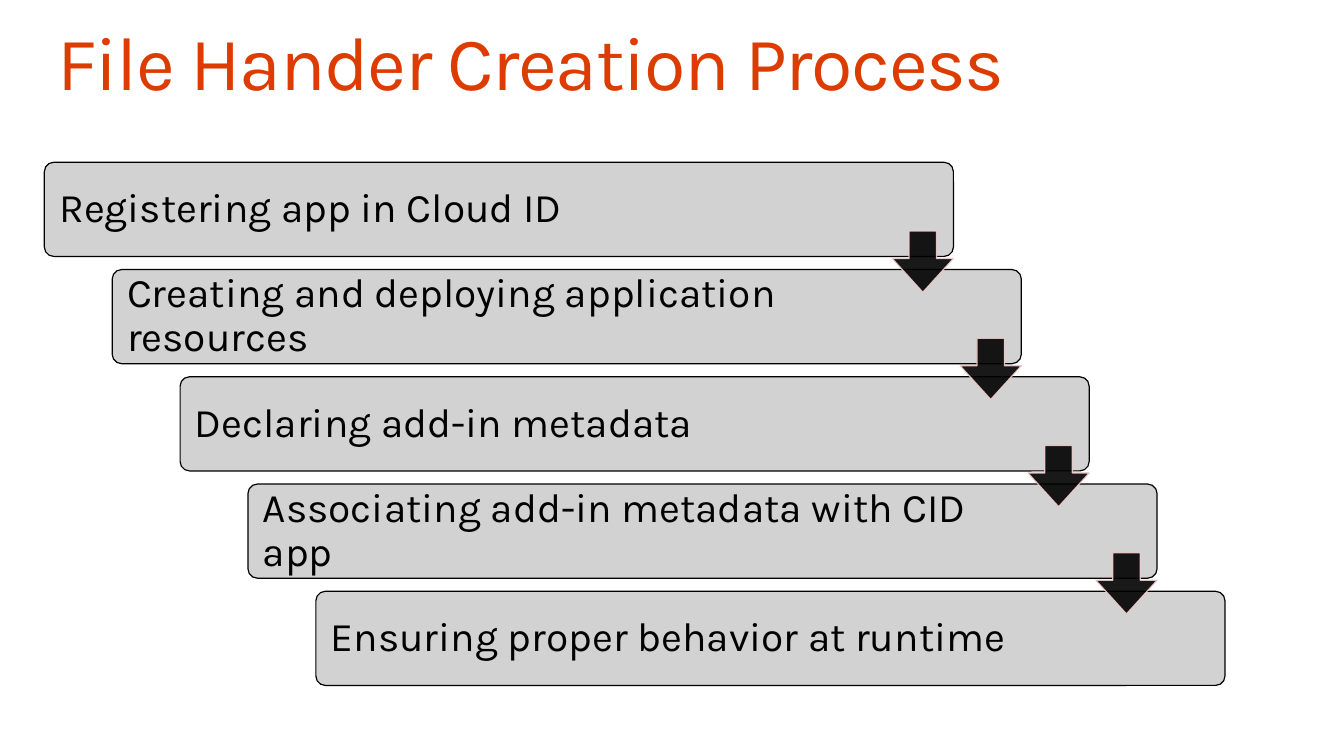
from pptx import Presentation
from pptx.dml.color import RGBColor
from pptx.enum.shapes import MSO_SHAPE
from pptx.enum.text import MSO_ANCHOR, MSO_AUTO_SIZE, PP_ALIGN
from pptx.oxml.ns import qn
from pptx.util import Inches, Pt
from lxml import etree

BAR, ARROW = MSO_SHAPE.ROUNDED_RECTANGLE, MSO_SHAPE.DOWN_ARROW
TOP, MIDDLE = MSO_ANCHOR.TOP, MSO_ANCHOR.MIDDLE
LEFT, NO_FIT = PP_ALIGN.LEFT, MSO_AUTO_SIZE.NONE
FONT = "Karla"
COLORS = {"title": "DC3C00", "bar": "D2D2D2", "ink": "000000", "edge": "F2CECC"}
STEPS = [
    "Registering app in Cloud ID",
    "Creating and deploying application resources",
    "Declaring add-in metadata",
    "Associating add-in metadata with CID app",
    "Ensuring proper behavior at runtime",
]


def color(name):
    return RGBColor.from_string(COLORS[name])


def write(shape, text, size, ink, anchor, insets):
    """Fill the shape with one left-aligned paragraph; insets run left, top, right, bottom."""
    frame = shape.text_frame
    frame.text = text
    frame.word_wrap = True
    frame.auto_size = NO_FIT
    frame.vertical_anchor = anchor
    (frame.margin_left, frame.margin_top,
     frame.margin_right, frame.margin_bottom) = map(Inches, insets)
    para = frame.paragraphs[0]
    para.alignment = LEFT
    para.line_spacing = 0.9
    para.font.name = FONT
    para.font.size = Pt(size)
    para.font.color.rgb = color(ink)
    return para


def add_block(slide, kind, box, adjust, fill, line):
    block = slide.shapes.add_shape(kind, *map(Inches, box))
    for i, value in enumerate(adjust):
        block.adjustments[i] = value
    block.shadow.inherit = False
    block.fill.solid()
    block.fill.fore_color.rgb = color(fill)
    block.line.color.rgb = color(line)
    block.line.width = Pt(0.85)
    return block


def fade(shape, share):
    """Set the opacity of the shape's fill and line."""
    for tone in shape._element.spPr.iter(qn("a:srgbClr")):
        etree.SubElement(tone, qn("a:alpha")).set("val", str(int(share * 100000)))


def add_title(slide, box, text):
    title = slide.shapes.title
    title.left, title.top, title.width, title.height = map(Inches, box)
    para = write(title, text, 54, "title", TOP, (0, 0, 0, 0))
    para.runs[0]._r.get_or_add_rPr().set("spc", "-100")


def add_stairs(slide, box, steps):
    """Stagger the steps evenly from the box's top left to its bottom right."""
    left, top, width, height = box
    wide, high = width * 0.77, height * 0.18
    gaps = len(steps) - 1
    right, down = (width - wide) / gaps, (height - high) / gaps
    side = high * 0.65
    spots = [(left + i * right, top + i * down) for i in range(len(steps))]
    for (x, y), text in zip(spots, steps):
        bar = add_block(slide, BAR, (x, y, wide, high), [0.1], "bar", "ink")
        write(bar, text, 29, "ink", MIDDLE, (0.12, 0.12, 1.4, 0.12))
    for x, y in spots[:-1]:
        place = (x + wide - side, y + high * 0.73, side, side)
        fade(add_block(slide, ARROW, place, [0.45, 0.55], "ink", "edge"), 0.9)


def main():
    deck = Presentation()
    deck.slide_width, deck.slide_height = Inches(13.33), Inches(7.5)
    slide = deck.slides.add_slide(deck.slide_layouts[5])
    add_title(slide, (0.57, 0.25, 12.19, 0.82), "File Hander Creation Process")
    add_stairs(slide, (0.44, 1.61, 11.71, 5.19), STEPS)
    deck.save("out.pptx")


if __name__ == "__main__":
    main()
